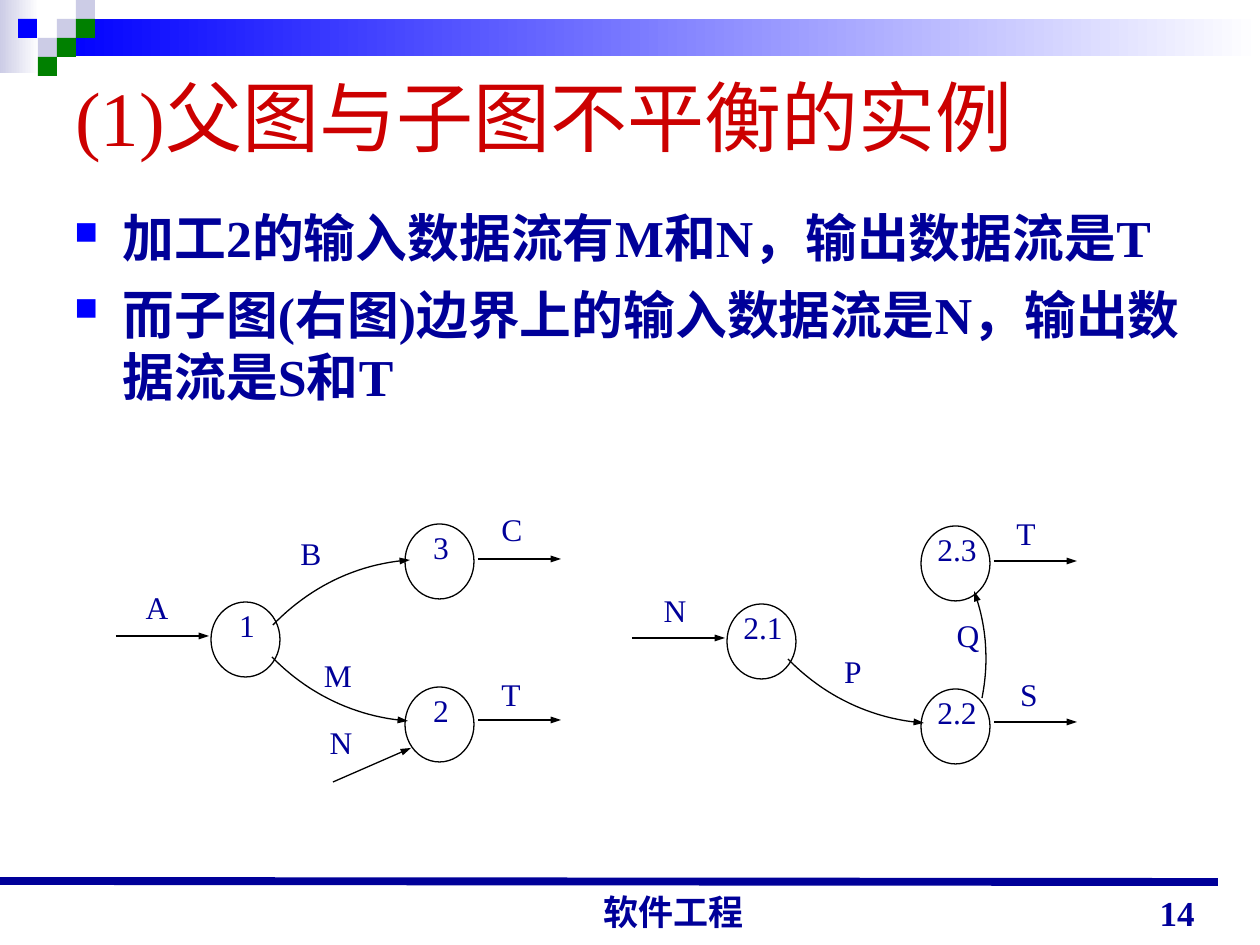
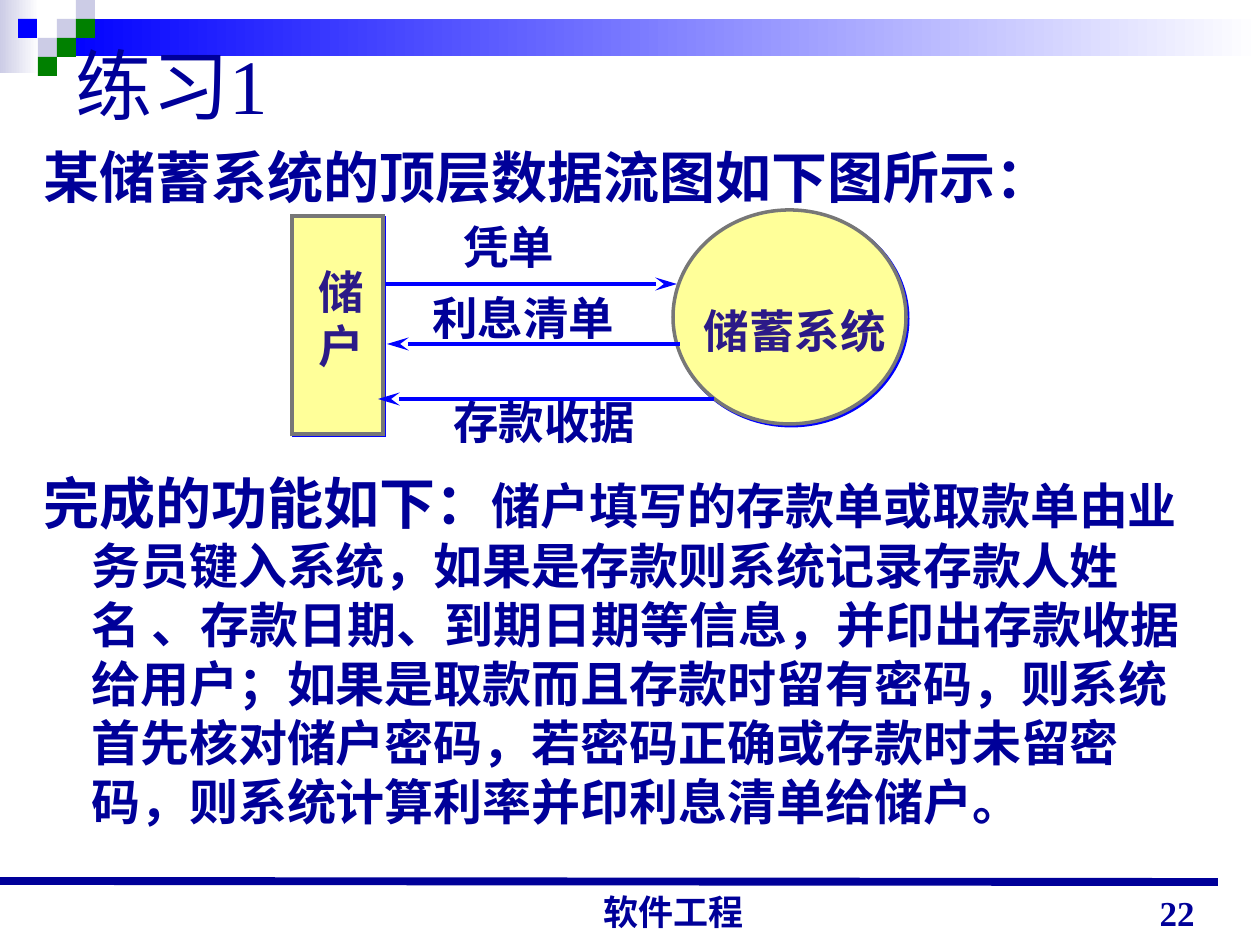
"""Two lecture slides on balancing data flow diagrams."""
from lxml.etree import SubElement
from pptx import Presentation
from pptx.dml.color import RGBColor
from pptx.enum.shapes import MSO_CONNECTOR as Connector, MSO_SHAPE as Shape
from pptx.enum.text import MSO_ANCHOR as Anchor, PP_ALIGN as Align
from pptx.oxml.ns import qn
from pptx.util import Pt

SCALE = 914400 / 126
WIDTH, HEIGHT = 1260, 945
SERIF, SANS = "Times New Roman", "Noto Sans CJK SC"
NAVY = RGBColor(0x00, 0x00, 0x99)
BLUE = RGBColor(0x00, 0x00, 0xFF)
GREEN = RGBColor(0x00, 0x80, 0x00)
LAVENDER = RGBColor(0xCC, 0xCC, 0xE6)
WHITE = RGBColor(0xFF, 0xFF, 0xFF)
BLACK = RGBColor(0x00, 0x00, 0x00)
RED = RGBColor(0xCC, 0x00, 0x00)
YELLOW = RGBColor(0xFF, 0xFF, 0x99)
GRAY = RGBColor(0x77, 0x77, 0x77)
VIOLET = RGBColor(0x2C, 0x1A, 0x88)
TRIANGLE = {"type": "triangle", "w": "sm", "len": "med"}
STEALTH = {"type": "stealth", "w": "med", "len": "lg"}

FOOTER = "软件工程"
BANDS = [((0, 0, 39, 73), LAVENDER), ((57, 19, 1203, 37), BLUE)]
SQUARE = 19
SQUARES = [(57, 19, LAVENDER), (76, 0, LAVENDER), (76, 19, GREEN), (38, 38, LAVENDER),
           (18, 19, BLUE), (57, 38, GREEN), (38, 57, GREEN)]

BALANCE_TITLE = "(1)父图与子图不平衡的实例"
BALANCE_POINTS = ["加工2的输入数据流有M和N，输出数据流是T",
                  "而子图(右图)边界上的输入数据流是N，输出数据流是S和T"]
NODE_PLACES = [(211, 602), (405, 687), (405, 524)]
SHARED_ARROWS = [(116, 636, 209, 636), (478, 720, 561, 720), (478, 559, 561, 559)]
LOWER_CURVE = [(272, 657), (307, 693), (354, 717), (408, 721)]
DIAGRAMS = [
    {"offset": (0, 0), "nodes": ["1", "2", "3"],
     "arrows": [(333, 782, 411, 748)],
     "curves": [[(273, 625), (309, 588), (355, 564), (410, 560)]],
     "labels": [("A", 126, 582), ("B", 280, 528), ("C", 481, 504),
                ("M", 307, 650), ("N", 310, 717), ("T", 480, 669)]},
    {"offset": (516, 2), "nodes": ["2.1", "2.2", "2.3"],
     "arrows": [],
     "curves": [[(466, 696), (473, 661), (471, 624), (458, 589)]],
     "labels": [("N", 128, 583), ("P", 306, 644), ("S", 482, 667),
                ("T", 479, 506), ("Q", 421, 608)]},
]

EXERCISE_TITLE = "练习1"
EXERCISE_INTRO = "某储蓄系统的顶层数据流图如下图所示："
EXERCISE_TASK = [
    ("完成的功能如下：", 32),
    ("储户填写的存款单或取款单由业务员键入系统，如果是存款则系统记录存款人姓名 、存款日期、"
     "到期日期等信息，并印出存款收据给用户；如果是取款而且存款时留有密码，则系统首先核对储户密码，"
     "若密码正确或存款时未留密码，则系统计算利率并印利息清单给储户。", 28)]
ENTITIES = [(Shape.RECTANGLE, (292, 216, 91, 218), "储户", (306, 258, 77, 122), Align.LEFT),
            (Shape.OVAL, (673, 210, 233, 214), "储蓄系统", (676, 297, 238, 68), Align.CENTER)]
FLOWS = [("凭单", (451, 213, 166, 67), (386, 284, 677, 284)),
         ("利息清单", (420, 284, 255, 67), (680, 344, 387, 344)),
         ("存款收据", (441, 388, 255, 67), (714, 399, 378, 399))]


def emu(*lengths):
    return [round(length * SCALE) for length in lengths]


def add_text(slide, box, paragraphs, size=18, color=NAVY, font=SERIF, bold=False,
             align=Align.LEFT, anchor=Anchor.TOP, line=None, before=0, hang=0, bullet=None):
    frame = slide.shapes.add_textbox(*emu(*box)).text_frame
    frame.word_wrap = True
    frame.vertical_anchor = anchor
    for index, runs in enumerate(paragraphs):
        paragraph = frame.paragraphs[0] if index == 0 else frame.add_paragraph()
        paragraph.alignment = align
        paragraph.space_before = Pt(before)
        if line:
            paragraph.line_spacing = Pt(line)
        properties = paragraph._p.get_or_add_pPr()
        properties.set("hangingPunct", "0")
        if hang:
            indent, = emu(hang)
            properties.set("marL", str(indent))
            properties.set("indent", str(-indent))
        if bullet:
            bullet_color = SubElement(properties, qn("a:buClr"))
            SubElement(bullet_color, qn("a:srgbClr"), val=str(BLUE))
            SubElement(properties, qn("a:buSzPct"), val="62000")
            SubElement(properties, qn("a:buChar"), char=bullet)
        for words, run_size in [(runs, size)] if isinstance(runs, str) else runs:
            run = paragraph.add_run()
            run.text = words
            run.font.size = Pt(run_size)
            run.font.name = font
            run.font.bold = bold
            run.font.color.rgb = color
            SubElement(run._r.get_or_add_rPr(), qn("a:ea"), typeface=SANS)


def add_figure(slide, kind, box, fill=None, outline=None, weight=1.0):
    shape = slide.shapes.add_shape(kind, *emu(*box))
    shape.shadow.inherit = False
    if fill is None:
        shape.fill.background()
    else:
        shape.fill.solid()
        shape.fill.fore_color.rgb = fill
    if outline is None:
        shape.line.fill.background()
    else:
        shape.line.color.rgb = outline
        shape.line.width = Pt(weight)
        SubElement(shape.element.spPr.find(qn("a:ln")), qn("a:miter"), lim="800000")
    return shape


def style_stroke(shape, color, weight, head):
    shape.line.color.rgb = color
    shape.line.width = Pt(weight)
    if head:
        SubElement(shape.element.spPr.find(qn("a:ln")), qn("a:tailEnd"), head)


def add_line(slide, ends, color=BLACK, weight=0.75, head=TRIANGLE):
    connector = slide.shapes.add_connector(Connector.STRAIGHT, *emu(*ends))
    style_stroke(connector, color, weight, head)
    SubElement(connector.element.spPr, qn("a:effectLst"))


def bezier_point(controls, t):
    weights = ((1 - t) ** 3, 3 * t * (1 - t) ** 2, 3 * t * t * (1 - t), t ** 3)
    return emu(*(sum(w * point[axis] for w, point in zip(weights, controls)) for axis in (0, 1)))


def add_curve(slide, controls, steps=24):
    points = [bezier_point(controls, step / steps) for step in range(steps + 1)]
    builder = slide.shapes.build_freeform(*points[0])
    builder.add_line_segments(points[1:], close=False)
    curve = builder.convert_to_shape()
    curve.shadow.inherit = False
    curve.fill.background()
    style_stroke(curve, BLACK, 0.75, TRIANGLE)


def add_blue_shadow(shape):
    effects = shape.element.spPr.find(qn("a:effectLst"))
    shadow = SubElement(effects, qn("a:outerShdw"), dist="17961", dir="2700000",
                        algn="ctr", rotWithShape="0")
    SubElement(shadow, qn("a:srgbClr"), val=str(BLUE))


def add_base(presentation, title, title_top, title_color, number):
    slide = presentation.slides.add_slide(presentation.slide_layouts[6])
    for box, color in BANDS:
        band = add_figure(slide, Shape.RECTANGLE, box)
        band.fill.gradient()
        band.fill.gradient_angle = 180
        for stop, stop_color in zip(band.fill.gradient_stops, (WHITE, color)):
            stop.color.rgb = stop_color
    for left, top, color in SQUARES:
        add_figure(slide, Shape.RECTANGLE, (left, top, SQUARE, SQUARE), color)
    add_line(slide, (0, 881, 1218, 882), NAVY, 4.5, None)
    add_text(slide, (63, title_top, 1134, 105), [title], size=44, color=title_color,
             anchor=Anchor.MIDDLE)
    for box, words, align in [((489, 887, 369, 52), FOOTER, Align.CENTER),
                              ((914, 877, 293, 63), str(number), Align.RIGHT)]:
        add_text(slide, box, [words], size=20, bold=True, align=align, anchor=Anchor.BOTTOM)
    return slide


def add_diagram(slide, diagram):
    dx, dy = diagram["offset"]
    for name, (left, top) in zip(diagram["nodes"], NODE_PLACES):
        add_text(slide, (left + dx, top + dy - 2, 72, 66), [name], align=Align.CENTER)
        add_figure(slide, Shape.OVAL, (left + dx, top + dy, 69, 75), outline=BLACK, weight=0.75)
    for controls in [LOWER_CURVE] + diagram["curves"]:
        add_curve(slide, [(x + dx, y + dy) for x, y in controls])
    for x1, y1, x2, y2 in SHARED_ARROWS + diagram["arrows"]:
        add_line(slide, (x1 + dx, y1 + dy, x2 + dx, y2 + dy))
    for name, left, top in diagram["labels"]:
        add_text(slide, (left + dx, top + dy, 62, 62), [name], align=Align.CENTER)


def build_balance_slide(presentation):
    slide = add_base(presentation, BALANCE_TITLE, 63, RED, 14)
    add_text(slide, (62, 200, 1134, 285), BALANCE_POINTS, size=29.6, bold=True,
             line=35.5, before=8, hang=48, bullet="■")
    for diagram in DIAGRAMS:
        add_diagram(slide, diagram)


def build_exercise_slide(presentation):
    slide = add_base(presentation, EXERCISE_TITLE, 31, NAVY, 22)
    add_text(slide, (31, 134, 1197, 116), [EXERCISE_INTRO], size=32, bold=True,
             line=40, before=8, hang=48)
    for kind, box, name, name_box, align in ENTITIES:
        add_blue_shadow(add_figure(slide, kind, box, YELLOW, GRAY, 2))
        add_text(slide, name_box, [name], size=26, color=VIOLET, font=SANS, bold=True,
                 align=align, line=31)
    for name, box, ends in FLOWS:
        add_line(slide, ends, BLUE, 2.5, STEALTH)
        add_text(slide, box, [name], size=26, font=SANS, bold=True, line=31)
    add_text(slide, (31, 471, 1197, 388), [EXERCISE_TASK], bold=True,
             line=33.6, before=7, hang=48)


def main():
    presentation = Presentation()
    presentation.slide_width, presentation.slide_height = emu(WIDTH, HEIGHT)
    build_balance_slide(presentation)
    build_exercise_slide(presentation)
    presentation.save("out.pptx")


if __name__ == "__main__":
    main()
